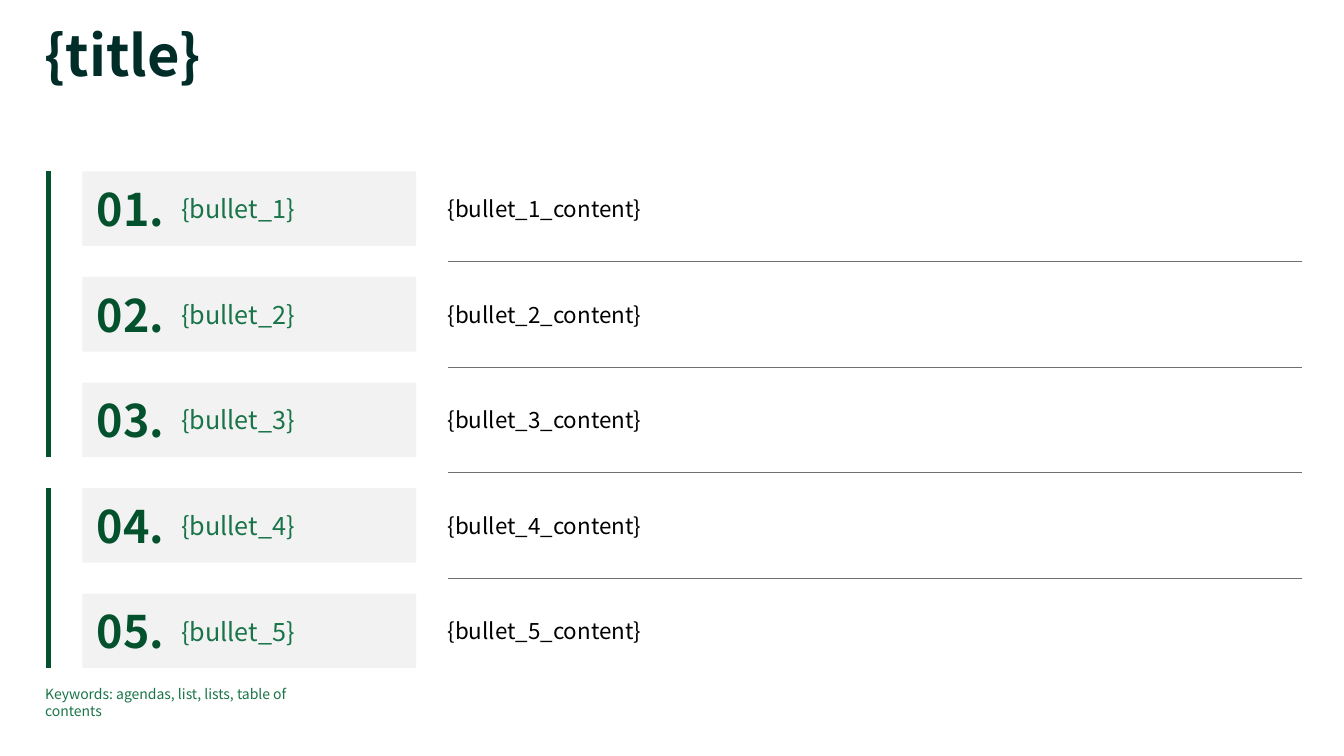
from pptx import Presentation
from pptx.dml.color import RGBColor
from pptx.enum import shapes, text
from pptx.oxml import ns, xmlchemy as xml
from pptx.util import Cm, Pt

FONT = "Noto Sans CJK JP"
COLORS = {
    "title": "002D28",
    "dark": "03522D",
    "green": "1A7449",
    "panel": "F2F2F2",
    "rule": "6E6F73",
    "body": "000000",
}

# Lengths in centimetres
TOP, PITCH, HIGH = 4.32, 2.66, 1.88
GAP = PITCH - HIGH
LEFT, RIGHT = 11.28, 32.8
BAR = 1.22
ROWS = 5
GROUPS = [(0, 2), (3, 4)]


def color(name):
    return RGBColor.from_string(COLORS[name])


def fill_text(shape, words, size, tone, bold=False, pads=(0, 0, 0, 0),
              anchor=text.MSO_ANCHOR.MIDDLE, grow=False):
    frame = shape.text_frame
    frame.word_wrap = True
    frame.auto_size = (text.MSO_AUTO_SIZE.SHAPE_TO_FIT_TEXT if grow
                       else text.MSO_AUTO_SIZE.NONE)
    frame.vertical_anchor = anchor
    (frame.margin_left, frame.margin_top,
     frame.margin_right, frame.margin_bottom) = map(Cm, pads)
    para = frame.paragraphs[0]
    para.alignment = text.PP_ALIGN.LEFT
    run = para.add_run()
    run.text = words
    font = run.font
    font.name, font.size, font.bold = FONT, Pt(size), bold
    font.color.rgb = color(tone)
    return para


def add_label(slide, box, *args, **kind):
    shape = slide.shapes.add_textbox(*map(Cm, box))
    return fill_text(shape, *args, **kind)


def add_panel(slide, box, words):
    shape = slide.shapes.add_shape(shapes.MSO_SHAPE.RECTANGLE, *map(Cm, box))
    shape.shadow.inherit = False
    shape.fill.solid()
    shape.fill.fore_color.rgb = color("panel")
    shape.line.fill.background()
    fill_text(shape, words, 18, "green", pads=(2.49, 0.2, 0.61, 0.2))


def add_line(slide, ends, tone, width):
    line = slide.shapes.add_connector(
        shapes.MSO_CONNECTOR.STRAIGHT, *map(Cm, ends))
    line.line.color.rgb = color(tone)
    line.line.width = Pt(width)
    props = line._element.spPr
    props.append(xml.OxmlElement("a:effectLst"))


def add_title(slide):
    title = slide.shapes.title
    title.left, title.top, title.width, title.height = map(
        Cm, (1.12, 0.71, 28.02, 1.57))
    para = fill_text(title, "{title}", 40, "title", bold=True,
                     anchor=text.MSO_ANCHOR.TOP, grow=True)
    para.line_spacing = 0.9


def add_row(slide, row):
    top = TOP + row * PITCH
    num = row + 1
    add_panel(slide, (2.08, top, 8.41, HIGH), f"{{bullet_{num}}}")
    add_label(slide, (2.44, top + 0.22, 2.16, HIGH - 0.44),
              f"{num:02d}.", 32, "dark", bold=True)
    add_label(slide, (LEFT, top + 0.6, RIGHT - LEFT, HIGH - 1.2),
              f"{{bullet_{num}_content}}", 16, "body", grow=True)
    if num < ROWS:
        mid = top + HIGH + GAP / 2
        add_line(slide, (LEFT, mid, RIGHT, mid), "rule", 0.5)


def main():
    deck = Presentation()
    deck.slide_width, deck.slide_height = Cm(33.87), Cm(19.05)
    slide = deck.slides.add_slide(deck.slide_layouts[5])
    add_title(slide)
    for row in range(ROWS):
        add_row(slide, row)
    for first, last in GROUPS:
        add_line(slide, (BAR, TOP + first * PITCH,
                         BAR, TOP + last * PITCH + HIGH), "dark", 3)
    note = add_label(slide, (1.14, 17.27, 7.34, 0.43),
                     "Keywords: agendas, list, lists, table of contents",
                     10, "green", anchor=text.MSO_ANCHOR.TOP, grow=True)
    note.space_after = Pt(1.1)
    deck.save("out.pptx")


if __name__ == "__main__":
    main()
